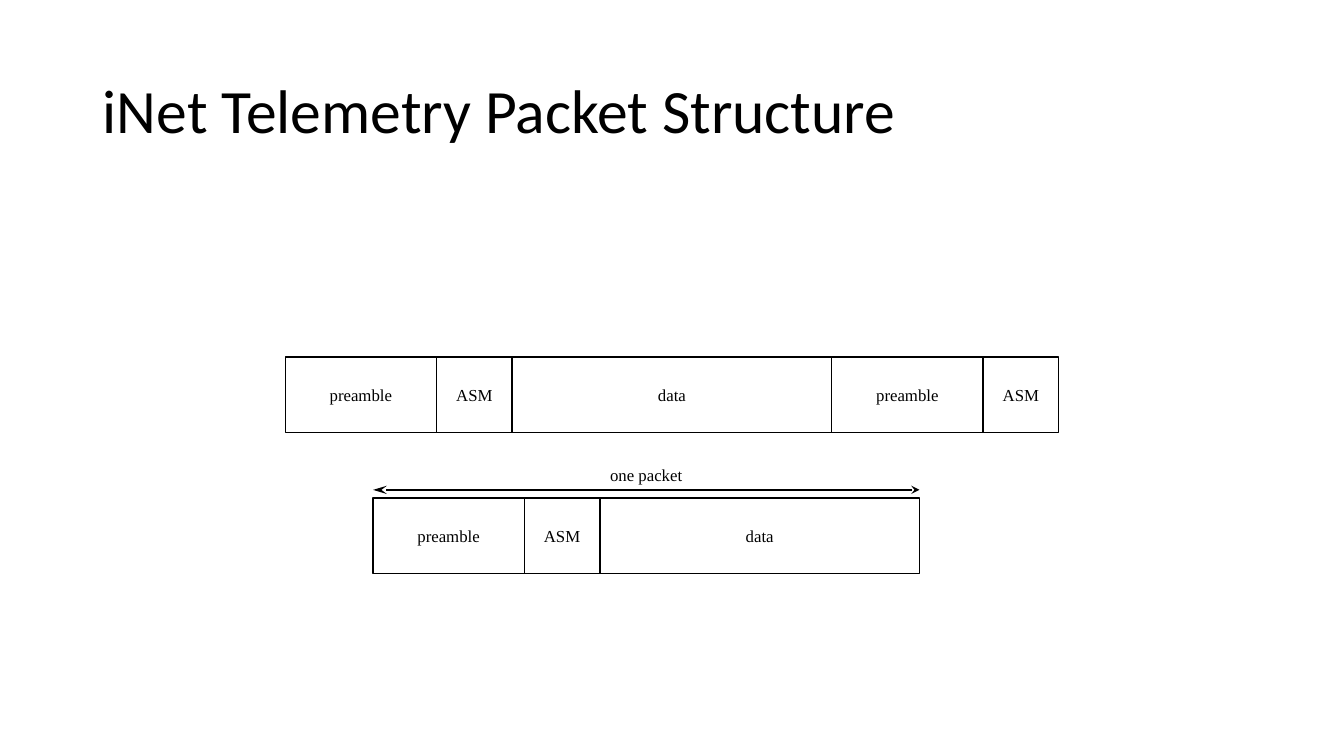
from lxml import etree
from pptx import Presentation
from pptx.dml.color import RGBColor
from pptx.enum import shapes, text
from pptx.oxml.ns import qn
from pptx.util import Inches, Pt

BLACK = "000000"
LABEL_FORMAT = {"name": "Times New Roman", "size": Pt(12)}
TITLE_FORMAT = {"name": "Calibri", "size": Pt(44)}

FIELD_WIDTHS = {"preamble": 1.5, "ASM": 0.75, "data": 3.17}
PACKET = ["preamble", "ASM", "data"]
STREAM = PACKET + ["preamble", "ASM"]
FIELD_HEIGHT = 0.75


def colour(hex_value):
    return RGBColor.from_string(hex_value)


def write(frame, words, font_format, align=None):
    frame.text = words
    paragraph = frame.paragraphs[0]
    paragraph.alignment = align
    for attribute, value in font_format.items():
        setattr(paragraph.font, attribute, value)
    paragraph.font.color.rgb = colour(BLACK)
    return paragraph


def draw_title(slide, left, top, width, height):
    title = slide.shapes.title
    box = {"left": left, "top": top, "width": width, "height": height}
    for attribute, value in box.items():
        setattr(title, attribute, Inches(value))
    title.text_frame.vertical_anchor = text.MSO_ANCHOR.MIDDLE
    heading = write(title.text_frame, "iNet Telemetry Packet Structure",
                    TITLE_FORMAT, text.PP_ALIGN.LEFT)
    heading.line_spacing = 0.9


def draw_fields(slide, left, top, fields):
    """Place the fields side by side and return the right edge."""
    for name in fields:
        width = FIELD_WIDTHS[name]
        field = slide.shapes.add_shape(
            shapes.MSO_SHAPE.RECTANGLE, Inches(left), Inches(top),
            Inches(width), Inches(FIELD_HEIGHT))
        field.shadow.inherit = False
        field.fill.background()
        field.line.color.rgb = colour(BLACK)
        field.line.width = Pt(1)
        field.text_frame.vertical_anchor = text.MSO_ANCHOR.MIDDLE
        write(field.text_frame, name, LABEL_FORMAT, text.PP_ALIGN.CENTER)
        left += width
    return left


def draw_span(slide, left, right, y, words):
    # Double-headed arrow, drawn from right to left
    span = slide.shapes.add_connector(
        shapes.MSO_CONNECTOR.STRAIGHT, Inches(right), Inches(y),
        Inches(left), Inches(y))
    span.line.color.rgb = colour(BLACK)
    span.line.width = Pt(1)
    outline = span.line._get_or_add_ln()
    for end, length in (("a:headEnd", "med"), ("a:tailEnd", "lg")):
        etree.SubElement(outline, qn(end), type="stealth", w="med", len=length)
    etree.SubElement(span._element.spPr, qn("a:effectLst"))

    # Label centred above the arrow
    width, height = 0.93, 0.3
    label = slide.shapes.add_textbox(
        Inches((left + right - width) / 2), Inches(y - height),
        Inches(width), Inches(height))
    label.text_frame.word_wrap = False
    label.text_frame.auto_size = text.MSO_AUTO_SIZE.SHAPE_TO_FIT_TEXT
    write(label.text_frame, words, LABEL_FORMAT, text.PP_ALIGN.CENTER)


def draw_packet(slide, left, top):
    right = draw_fields(slide, left, top, PACKET)
    draw_span(slide, left, right, top - 0.08, "one packet")


def main():
    deck = Presentation()
    deck.slide_width, deck.slide_height = Inches(13.33), Inches(7.5)
    slide = deck.slides.add_slide(deck.slide_layouts[5])
    draw_title(slide, 0.92, 0.4, 11.5, 1.45)
    # Continuous stream, then a single packet
    draw_fields(slide, 2.83, 3.54, STREAM)
    draw_packet(slide, 3.7, 4.94)
    deck.save("out.pptx")


if __name__ == "__main__":
    main()
